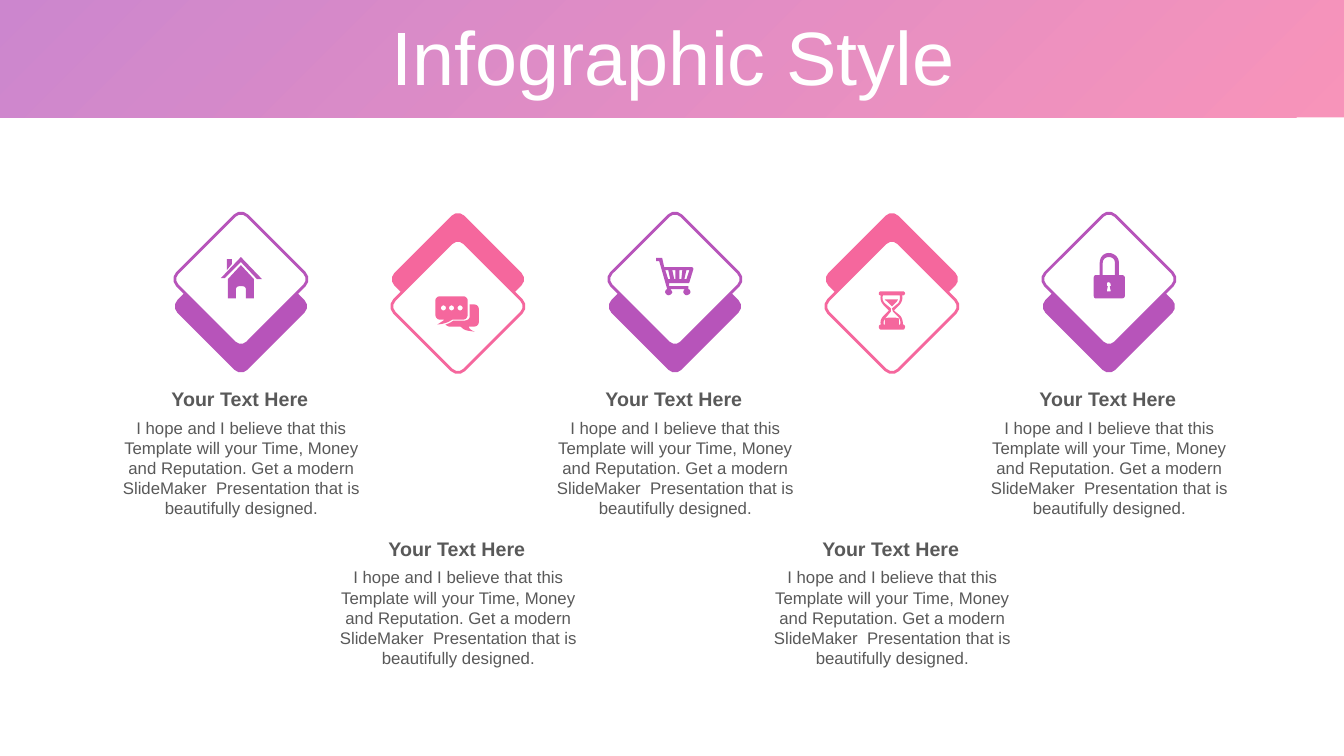
from dataclasses import dataclass

from lxml import etree
from pptx import Presentation
from pptx.dml.color import RGBColor
from pptx.enum.shapes import MSO_SHAPE
from pptx.enum.text import MSO_ANCHOR, MSO_AUTO_SIZE, PP_ALIGN
from pptx.oxml.ns import qn
from pptx.util import Pt

RECTANGLE = MSO_SHAPE.RECTANGLE
ROUNDED = MSO_SHAPE.ROUNDED_RECTANGLE
CENTER = PP_ALIGN.CENTER
MIDDLE = MSO_ANCHOR.MIDDLE
NO_AUTOFIT = MSO_AUTO_SIZE.NONE
GROW = MSO_AUTO_SIZE.SHAPE_TO_FIT_TEXT


@dataclass(frozen=True)
class Theme:
    purple: RGBColor = RGBColor(0xB7, 0x54, 0xBA)
    pink: RGBColor = RGBColor(0xF5, 0x67, 0x9D)
    white: RGBColor = RGBColor(0xFF, 0xFF, 0xFF)
    grey: RGBColor = RGBColor(0x59, 0x59, 0x59)
    font: str = "Arial"
    title_size: int = 54
    heading_size: int = 14
    body_size: int = 12


# Icon outlines: M move, L line, C curve, Z close, O circle (centre, radius)
ICON_UNIT = 0.72
CURVE_STEPS = 8
CIRCLE_ARM = 0.55
HOUSE = """
M 20 8 L 33 22 L 33 41 L 25 41 L 25 32 C 25 31 24 29 22 29 L 18 29
C 16 29 15 31 15 32 L 15 41 L 7 41 L 7 22 Z
M 6 2 L 11 2 L 11 7 L 6 13 Z M 20 0 L 41 22 L 36 22 L 20 5 L 4 21 L 0 21 Z"""
CHAT = """
O 8 11.5 2.5 O 16 11.5 2.5 O 24.5 11.5 2.5
M 34 8 L 38 8 C 41 8 43 10 43 12 L 43 26 C 43 28 41 30 38 30 L 33 30
C 34 32 34 33 39 35 C 31 34 29 34 25 30 L 14 30 C 13 30 11 29 10 28
C 13 27 15 26 18 24 L 29 24 C 32 24 34 22 34 20 Z
M 4 0 L 28 0 C 30 0 32 2 32 4 L 32 18 C 32 21 30 23 28 23 L 17 23
C 12 26 10 27 2 28 C 6 25 7 25 9 23 L 4 23 C 2 23 0 21 0 18 L 0 4
C 0 2 2 0 4 0 Z"""
CART = """
M 30 12 L 28 21 L 30 21 L 33 12 Z M 23 12 L 23 21 L 25 21 L 26 12 Z
M 16 12 L 18 21 L 19 21 L 19 12 Z M 9 12 L 12 21 L 14 21 L 12 12 Z
M 6 0 L 8 9 L 35 9 C 36 9 37 10 37 11 L 33 24 C 33 25 32 25 31 25 L 13 25
L 13 28 L 32 28 L 32 31 C 33 31 34 32 34 34 C 34 35 32 37 30 37
C 29 37 27 35 27 34 C 27 32 28 31 29 31 L 14 31 C 15 32 16 33 16 34
C 16 35 14 37 12 37 C 11 37 9 35 9 34 C 9 32 10 31 11 31 L 3 3 L 0 3 L 0 0 Z"""
HOURGLASS = """
M 13 26 C 15 26 17 26 20 27 C 20 29 20 31 20 33 L 6 33 C 6 31 6 29 6 27
C 9 26 11 26 13 26 Z
M 6 8 L 19 8 C 19 9 18 9 18 10 L 13 15 L 8 10 C 7 9 6 9 6 8 Z
M 4 4 C 3 7 4 10 6 12 L 12 17 L 12 20 L 7 26 C 5 28 4 31 5 33 L 21 33
C 22 31 21 27 19 25 L 14 20 L 13 17 L 19 12 C 21 10 21 7 21 4 Z
M 2 0 L 24 0 C 25 0 26 1 26 2 C 26 3 25 4 24 4 L 23 4 C 24 7 23 11 20 14
L 15 19 L 21 24 C 23 26 24 30 24 33 C 25 33 26 34 26 35 C 26 37 25 38 24 38
L 2 38 C 1 38 0 37 0 35 C 0 34 1 33 2 33 C 1 30 2 27 5 24 L 10 19 L 5 14
C 2 11 1 7 2 4 C 0 4 0 3 0 2 C 0 1 1 0 2 0 Z"""
LOCK = """
M 15 29 C 13 29 13 30 13 32 C 13 33 14 33 14 33 L 13 38 L 17 38 L 16 33
C 17 33 17 33 17 32 C 17 30 16 29 15 29 Z
M 15 4 C 12 4 9 6 9 10 L 9 22 L 21 22 L 21 9 C 21 6 18 4 15 4 Z
M 15 0 C 20 0 25 4 25 9 L 25 22 L 28 22 C 30 22 31 23 31 25 L 31 42
C 31 44 30 45 28 45 L 2 45 C 1 45 0 44 0 42 L 0 25 C 0 23 1 22 2 22 L 6 22
L 6 10 C 6 4 10 0 15 0 Z"""


def curve_points(start, first, second, end):
    """Points along a cubic curve, without its start."""
    points = []
    for step in range(1, CURVE_STEPS + 1):
        t = step / CURVE_STEPS
        weights = ((1 - t) ** 3, 3 * t * (1 - t) ** 2, 3 * t * t * (1 - t), t ** 3)
        corners = (start, first, second, end)
        points.append(tuple(sum(w * corner[axis] for w, corner in zip(weights, corners))
                            for axis in (0, 1)))
    return points


def circle_points(x, y, radius):
    points = [(x + radius, y)]
    arm = radius * CIRCLE_ARM
    for dx, dy in ((1, 0), (0, 1), (-1, 0), (0, -1)):
        start = (x + radius * dx, y + radius * dy)
        end = (x - radius * dy, y + radius * dx)
        points += curve_points(start, (start[0] - arm * dy, start[1] + arm * dx),
                               (end[0] + arm * dx, end[1] + arm * dy), end)
    return points


def outline_contours(outline):
    """Turn an icon outline into lists of points, one per closed contour."""
    tokens = iter(outline.split())
    contours = []
    for command in tokens:
        if command == "Z":
            continue
        count = {"M": 2, "L": 2, "C": 6, "O": 3}[command]
        values = [float(next(tokens)) for _ in range(count)]
        pairs = list(zip(values[::2], values[1::2]))
        if command == "O":
            contours.append(circle_points(*values))
        elif command == "M":
            contours.append(pairs)
        elif command == "L":
            contours[-1] += pairs
        else:
            contours[-1] += curve_points(contours[-1][-1], *pairs)
    return contours


class SlideBuilder:
    def __init__(self, slide, theme):
        self.slide = slide
        self.theme = theme

    def format_paragraph(self, paragraph, size, color, bold=False):
        paragraph.alignment = CENTER
        for run in paragraph.runs:
            run.font.name = self.theme.font
            run.font.size = Pt(size)
            run.font.bold = bold
            run.font.color.rgb = color

    def band(self, width, height):
        shape = self.slide.shapes.add_shape(RECTANGLE, 0, 0, Pt(width), Pt(height))
        shape.shadow.inherit = False
        shape.line.fill.background()
        shape.fill.gradient()
        shape.fill.gradient_angle = 135
        for stop, color in zip(shape.fill.gradient_stops, (self.theme.pink, self.theme.purple)):
            stop.color.rgb = color
        for color_element in shape._element.spPr.iter(qn("a:srgbClr")):
            etree.SubElement(color_element, qn("a:alpha"), val="70000")
        # Keep the band behind the title
        self.slide.shapes._spTree.insert(2, shape._element)

    def title(self, text, left, top, width, height):
        title = self.slide.shapes.title
        title.left, title.top = Pt(left), Pt(top)
        title.width, title.height = Pt(width), Pt(height)
        frame = title.text_frame
        frame.text = text
        frame.auto_size = NO_AUTOFIT
        frame.vertical_anchor = MIDDLE
        frame.paragraphs[0].line_spacing = 0.9
        self.format_paragraph(frame.paragraphs[0], self.theme.title_size, self.theme.white)

    def tile(self, left, top, size, fill, line=None):
        shape = self.slide.shapes.add_shape(ROUNDED, Pt(left), Pt(top), Pt(size), Pt(size))
        shape.shadow.inherit = False
        shape.adjustments[0] = 0.09
        shape.rotation = 45
        shape.fill.solid()
        shape.fill.fore_color.rgb = fill
        if line is None:
            shape.line.fill.background()
        else:
            shape.line.color.rgb = line
            shape.line.width = Pt(2)

    def icon(self, outline, left, top, color):
        contours = [[(Pt(x * ICON_UNIT), Pt(y * ICON_UNIT)) for x, y in contour]
                    for contour in outline_contours(outline)]
        builder = self.slide.shapes.build_freeform(*contours[0][0])
        for contour in contours:
            if contour is not contours[0]:
                builder.move_to(*contour[0])
            builder.add_line_segments(contour[1:], close=True)
        shape = builder.convert_to_shape(Pt(left), Pt(top))
        shape.shadow.inherit = False
        shape.fill.solid()
        shape.fill.fore_color.rgb = color
        shape.line.fill.background()

    def text(self, text, left, top, width, height, size, bold=False):
        box = self.slide.shapes.add_textbox(Pt(left), Pt(top), Pt(width), Pt(height))
        frame = box.text_frame
        frame.word_wrap = True
        frame.auto_size = GROW
        frame.text = text
        self.format_paragraph(frame.paragraphs[0], size, self.theme.grey, bold)


HEADING = "Your Text Here"
BODY = ("I hope and I believe that this Template will your Time, Money and Reputation. "
        "Get a modern SlideMaker  Presentation that is beautifully designed.")
# Outline, offset from the tile's left, top
ICONS = ((HOUSE, 20.9, 183.6), (CHAT, 19.24, 211.7), (CART, 21.9, 184.3),
         (HOURGLASS, 26, 208.1), (LOCK, 24.4, 180.7))
FIRST_TILE, FIRST_TEXT, PITCH, TILE_SIZE = 136.8, 79.2, 155, 70.56
UPPER_TILE, LOWER_TILE = 164.16, 183.6
UPPER_TEXT, LOWER_TEXT = 272.9, 379.8


def main():
    presentation = Presentation()
    presentation.slide_width, presentation.slide_height = Pt(960), Pt(540)
    theme = Theme()
    builder = SlideBuilder(presentation.slides.add_slide(presentation.slide_layouts[5]), theme)

    # Header
    builder.band(960, 83.9)
    builder.title("Infographic Style", 25.2, 15.1, 911.5, 56.9)

    # Five steps, alternating in colour and height
    for index, (outline, icon_offset, icon_top) in enumerate(ICONS):
        is_odd = index % 2 == 1
        color = theme.pink if is_odd else theme.purple
        back, front = (UPPER_TILE, LOWER_TILE) if is_odd else (LOWER_TILE, UPPER_TILE)
        tile_left = FIRST_TILE + index * PITCH
        builder.tile(tile_left, back, TILE_SIZE, color)
        builder.tile(tile_left, front, TILE_SIZE, theme.white, color)
        builder.icon(outline, tile_left + icon_offset, icon_top, color)

        text_left = FIRST_TEXT + index * PITCH
        text_top = LOWER_TEXT if is_odd else UPPER_TEXT
        builder.text(BODY, text_left, text_top + 21.7, 186.5, 79.9, theme.body_size)
        builder.text(HEADING, text_left, text_top, 184.3, 24.5, theme.heading_size, True)

    presentation.save("out.pptx")


if __name__ == "__main__":
    main()
